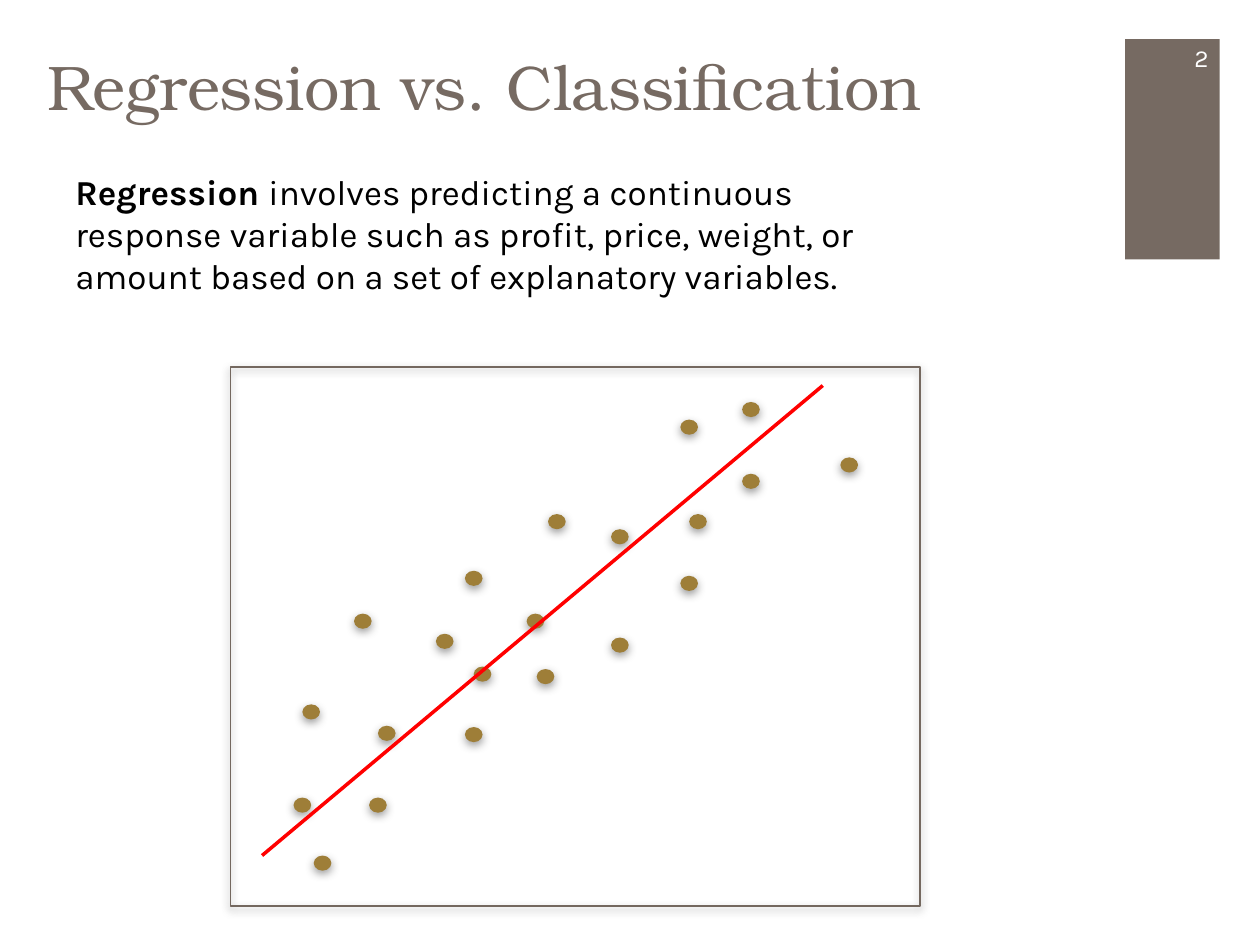
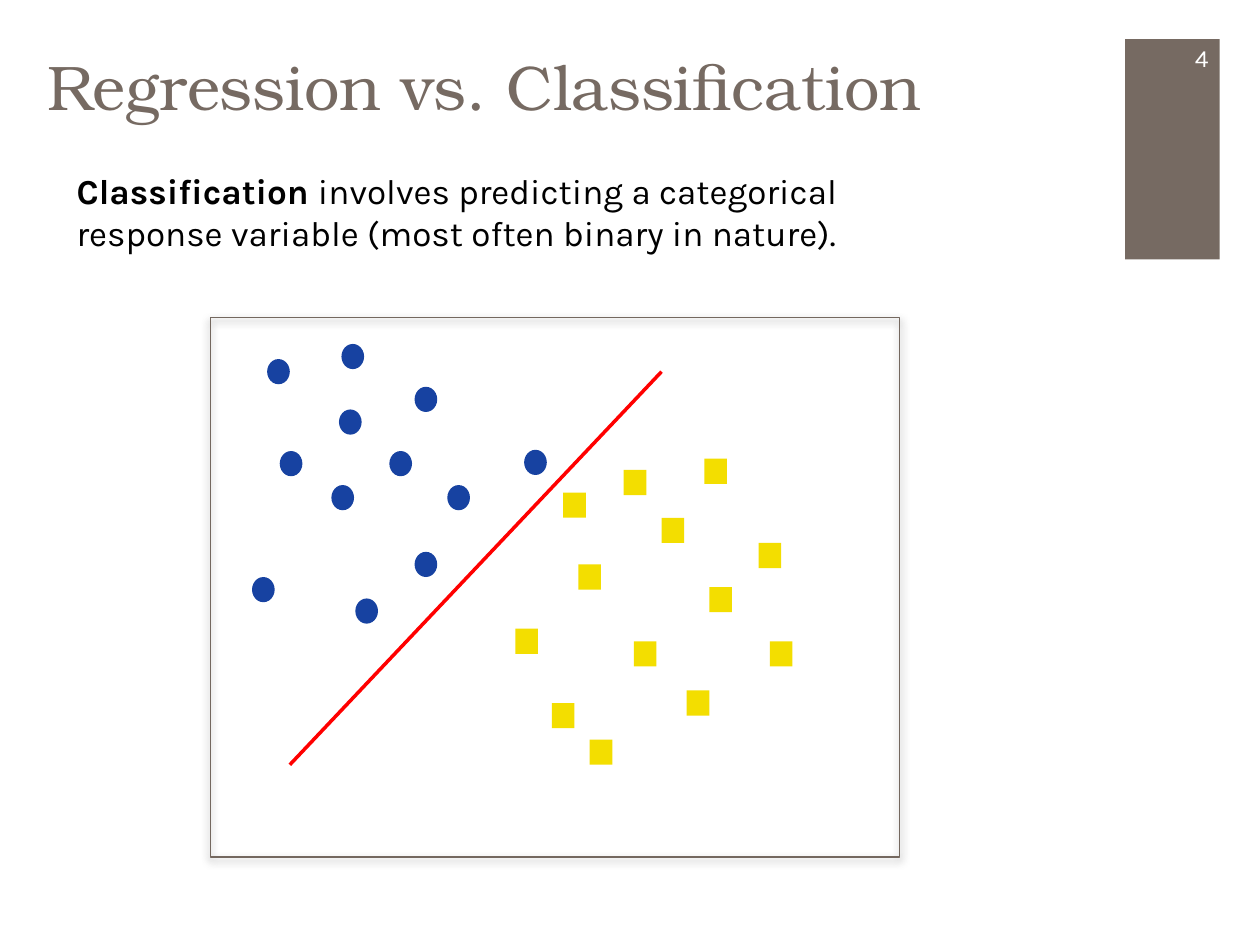
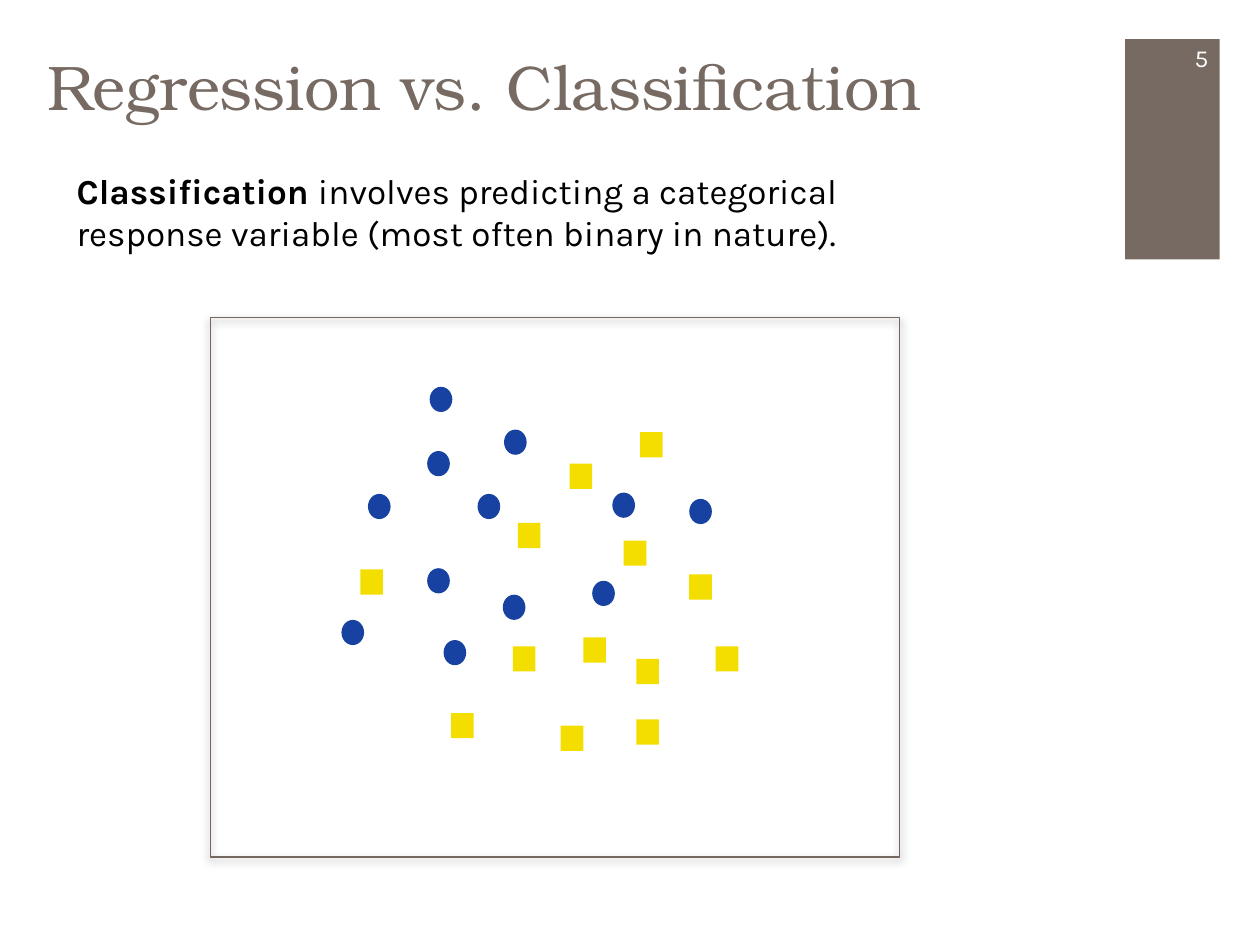
from dataclasses import dataclass

from lxml.etree import SubElement
from pptx import Presentation
from pptx.dml.color import RGBColor
from pptx.enum.shapes import MSO_CONNECTOR, MSO_SHAPE
from pptx.enum.text import MSO_ANCHOR, PP_ALIGN
from pptx.oxml.ns import qn
from pptx.util import Inches, Pt


@dataclass(frozen=True)
class Theme:
    band: str = "766A62"
    frame: str = "74685F"
    gold: str = "9E7E38"
    blue: str = "1742A1"
    yellow: str = "F3DE00"
    red: str = "FF0000"
    black: str = "000000"
    white: str = "FFFFFF"
    shadow: str = "808080"
    heading_font: str = "TeX Gyre Bonum"
    body_font: str = "Karla"
    title_size: int = 36
    body_size: int = 20
    number_size: int = 14


theme = Theme()


def add_text(page, place, spans, font, size, color):
    box = page.shapes.add_textbox(*map(Inches, place))
    box.text_frame.word_wrap = True
    para = box.text_frame.paragraphs[0]
    para.font.name = font
    para.font.size = Pt(size)
    para.font.color.rgb = RGBColor.from_string(color)
    for text, bold in spans:
        span = para.add_run()
        span.text = text
        if bold:
            span.font.bold = True
    return box


def add_figure(page, kind, place, fill=None, shadow=False):
    figure = page.shapes.add_shape(kind, *map(Inches, place))
    figure.shadow.inherit = False
    if fill:
        figure.fill.solid()
        figure.fill.fore_color.rgb = RGBColor.from_string(fill)
        figure.line.fill.background()
    else:
        figure.fill.background()
        figure.line.color.rgb = RGBColor.from_string(theme.frame)
        figure.line.width = Pt(1)
    if shadow:
        effects = figure._element.spPr.find(qn("a:effectLst"))
        outer = SubElement(effects, qn("a:outerShdw"), blurRad=str(Pt(5)),
                           dist=str(Pt(2)), dir="5400000", rotWithShape="0")
        tone = SubElement(outer, qn("a:srgbClr"), val=theme.shadow)
        SubElement(tone, qn("a:alpha"), val="75000")
    return figure


regression = ("Regression ", "involves predicting a continuous response variable such as "
              "profit, price, weight, or amount based on a set of explanatory variables.")
classification = ("Classification ", "involves predicting a categorical response variable "
                  "(most often binary in nature).")

observations = [
    (5.4, 3.33), (4.35, 4.08), (5.89, 3.76), (5.47, 4.08), (4.85, 5.06), (4.18, 4.87),
    (3.69, 4.53), (3.76, 5.29), (6.67, 3.63), (3.46, 5.03), (4.85, 4.2), (4.26, 5.31),
    (2.81, 4.87), (3, 5.76), (2.33, 6.33), (2.93, 6.33), (3.69, 5.77), (2.4, 5.59),
    (2.49, 6.79), (5.89, 3.19), (5.4, 4.57),
]
separable_circles = [
    (2.12, 2.85), (2.71, 2.73), (2.22, 3.58), (2.69, 3.25), (2.63, 3.85), (3.29, 3.07),
    (3.09, 3.58), (2, 4.58), (2.82, 4.75), (4.16, 3.57), (3.55, 3.85), (3.29, 4.38),
]
separable_squares = [
    (4.47, 3.91), (4.59, 4.48), (4.09, 4.99), (4.95, 3.73), (5.59, 3.64), (5.25, 4.11),
    (5.03, 5.09), (5.63, 4.66), (4.68, 5.87), (5.45, 5.48), (6.02, 4.31), (4.38, 5.58),
    (6.11, 5.09),
]
mixed_circles = [
    (5.47, 3.96), (3.41, 3.07), (2.92, 3.92), (3.39, 3.58), (3.39, 4.51), (4, 3.41),
    (3.79, 3.92), (2.71, 4.92), (3.52, 5.08), (4.86, 3.91), (4.7, 4.61), (3.99, 4.72),
]
mixed_squares = [
    (2.86, 4.52), (4.11, 4.15), (4.07, 5.13), (4.52, 3.68), (5.08, 3.43), (4.95, 4.29),
    (5.05, 5.23), (5.47, 4.56), (4.45, 5.76), (5.05, 5.71), (4.63, 5.06), (3.58, 5.66),
    (5.68, 5.13),
]

dot = (MSO_SHAPE.OVAL, (0.14, 0.12), theme.gold, True)
circle = (MSO_SHAPE.OVAL, (0.18, 0.2), theme.blue, False)
square = (MSO_SHAPE.RECTANGLE, (0.18, 0.2), theme.yellow, False)

slides = [
    ("2", regression, (0.5, 1.3, 6.8, 1.11), (1.83, 2.91),
     [(dot, observations)], (2.08, 6.79, 6.53, 3.06)),
    ("4", classification, (0.51, 1.3, 6.8, 0.77), (1.67, 2.52),
     [(circle, separable_circles), (square, separable_squares)], (5.25, 2.95, 2.3, 6.07)),
    ("5", classification, (0.51, 1.3, 6.8, 0.77), (1.67, 2.52),
     [(circle, mixed_circles), (square, mixed_squares)], None),
]

deck = Presentation()
deck.slide_width, deck.slide_height = Inches(10), Inches(7.5)

for number, (term, definition), text_place, plot_corner, groups, boundary in slides:
    page = deck.slides.add_slide(deck.slide_layouts[6])
    add_figure(page, MSO_SHAPE.RECTANGLE, (8.93, 0.31, 0.75, 1.75), theme.band)
    add_text(page, (0.28, 0.33, 8.26, 1.22), [("Regression vs. Classification", False)],
             theme.heading_font, theme.title_size, theme.band)
    number_box = add_text(page, (9.08, 0.26, 0.61, 0.4), [(number, False)],
                          theme.body_font, theme.number_size, theme.white)
    number_box.text_frame.vertical_anchor = MSO_ANCHOR.MIDDLE
    number_box.text_frame.paragraphs[0].alignment = PP_ALIGN.RIGHT

    add_figure(page, MSO_SHAPE.RECTANGLE, (*plot_corner, 5.47, 4.28), shadow=True)
    for (kind, size, color, shadow), corners in groups:
        for corner in corners:
            add_figure(page, kind, (*corner, *size), color, shadow)
    add_text(page, text_place, [(term, True), (definition, False)],
             theme.body_font, theme.body_size, theme.black)

    if boundary:
        line = page.shapes.add_connector(MSO_CONNECTOR.STRAIGHT, *map(Inches, boundary))
        line.line.color.rgb = RGBColor.from_string(theme.red)
        line.line.width = Pt(2)
        SubElement(line._element.spPr, qn("a:effectLst"))

deck.save("out.pptx")
